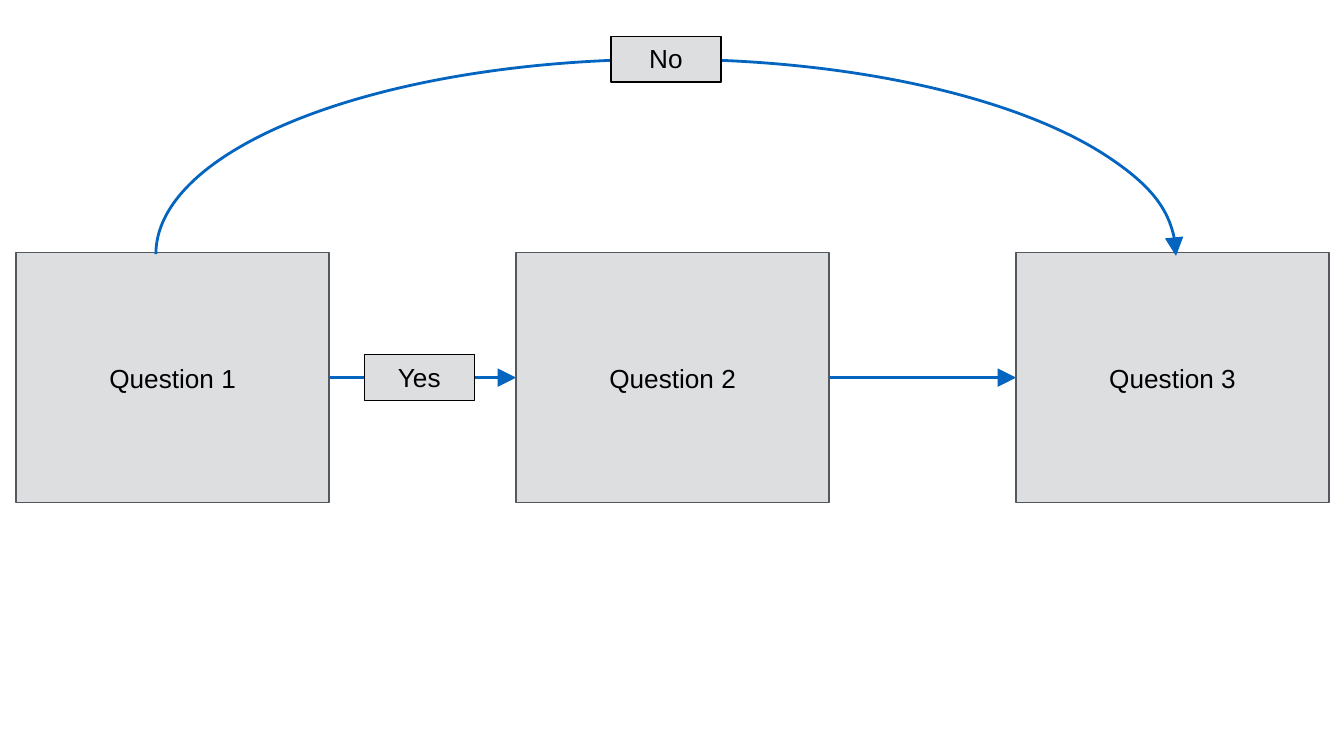
from pptx import Presentation
from pptx.dml.color import RGBColor
from pptx.enum.shapes import MSO_CONNECTOR, MSO_SHAPE
from pptx.enum.text import MSO_ANCHOR, MSO_AUTO_SIZE, PP_ALIGN
from pptx.oxml.ns import qn
from pptx.util import Inches, Pt
from lxml import etree

GREY = RGBColor(0xDC, 0xDE, 0xE0)
SLATE = RGBColor(0x53, 0x58, 0x5F)
BLUE = RGBColor(0x03, 0x65, 0xC0)
BLACK = RGBColor(0, 0, 0)

QUESTIONS = ["Question 1", "Question 2", "Question 3"]
QUESTION_W, QUESTION_H = 2.33, 1.86
QUESTION_PITCH = 3.72
TAG_W, TAG_H = 0.82, 0.34


def write(shape, text, size=14, font="Arial", color=BLACK,
          anchor=MSO_ANCHOR.MIDDLE, inset=0.1, grow=False):
    frame = shape.text_frame
    frame.word_wrap = True
    frame.vertical_anchor = anchor
    frame.margin_left = frame.margin_right = Inches(0.1)
    frame.margin_top = frame.margin_bottom = Inches(inset)
    if grow:
        frame.auto_size = MSO_AUTO_SIZE.SHAPE_TO_FIT_TEXT
    line = frame.paragraphs[0]
    line.alignment = PP_ALIGN.CENTER
    run = line.add_run()
    run.text = text
    run.font.size = Pt(size)
    run.font.name = font
    run.font.color.rgb = color


def add_box(slide, left, top, width, height, outline):
    box = slide.shapes.add_shape(MSO_SHAPE.RECTANGLE, Inches(left), Inches(top),
                                 Inches(width), Inches(height))
    box.shadow.inherit = False
    box.fill.solid()
    box.fill.fore_color.rgb = GREY
    box.line.color.rgb = outline
    box.line.width = Pt(0.75)
    return box


def style_arrow(arrow):
    arrow.line.color.rgb = BLUE
    arrow.line.width = Pt(1.5)
    etree.SubElement(arrow.line._get_or_add_ln(), qn("a:tailEnd"),
                     type="triangle", w="lg", len="lg")


def add_tag(slide, left, top, text):
    tag = add_box(slide, left, top, TAG_W, TAG_H, BLACK)
    write(tag, text, anchor=MSO_ANCHOR.TOP, inset=0.05, grow=True)


def add_arrow(slide, start, end, y):
    arrow = slide.shapes.add_connector(MSO_CONNECTOR.STRAIGHT, Inches(start), Inches(y),
                                       Inches(end), Inches(y))
    style_arrow(arrow)
    etree.SubElement(arrow._element.spPr, qn("a:effectLst"))


def add_question_row(slide, left, top):
    """Questions from left to right, joined by arrows."""
    middle = top + QUESTION_H / 2
    for i, question in enumerate(QUESTIONS):
        x = left + i * QUESTION_PITCH
        write(add_box(slide, x, top, QUESTION_W, QUESTION_H, SLATE), question)
        if i < len(QUESTIONS) - 1:
            add_arrow(slide, x + QUESTION_W, x + QUESTION_PITCH, middle)
    # Answer that leads on to the next question
    add_tag(slide, left + QUESTION_W + 0.26, middle - TAG_H / 2, "Yes")


def add_bypass(slide, left, top, width, height):
    """Half ellipse over the row; the arc is drawn upright, then turned."""
    center_x, center_y = left + width / 2, top + height
    arc_w, arc_h = 2 * height, width
    bypass = slide.shapes.add_shape(MSO_SHAPE.ARC, Inches(center_x - arc_w / 2),
                                    Inches(center_y - arc_h / 2),
                                    Inches(arc_w), Inches(arc_h))
    bypass.rotation = 270
    bypass.adjustments[0] = 162
    bypass.adjustments[1] = 54.12
    bypass.fill.background()
    bypass.shadow.inherit = False
    style_arrow(bypass)
    # Answer that skips a question
    add_tag(slide, center_x - TAG_W / 2, top - TAG_H / 2, "No")


def main():
    deck = Presentation()
    deck.slide_width = Inches(10)
    deck.slide_height = deck.slide_width * 9 // 16
    slide = deck.slides.add_slide(deck.slide_layouts[6])
    add_question_row(slide, 0.12, 1.88)
    add_bypass(slide, 1.16, 0.44, 7.59, 1.45)
    deck.save("out.pptx")


if __name__ == "__main__":
    main()
